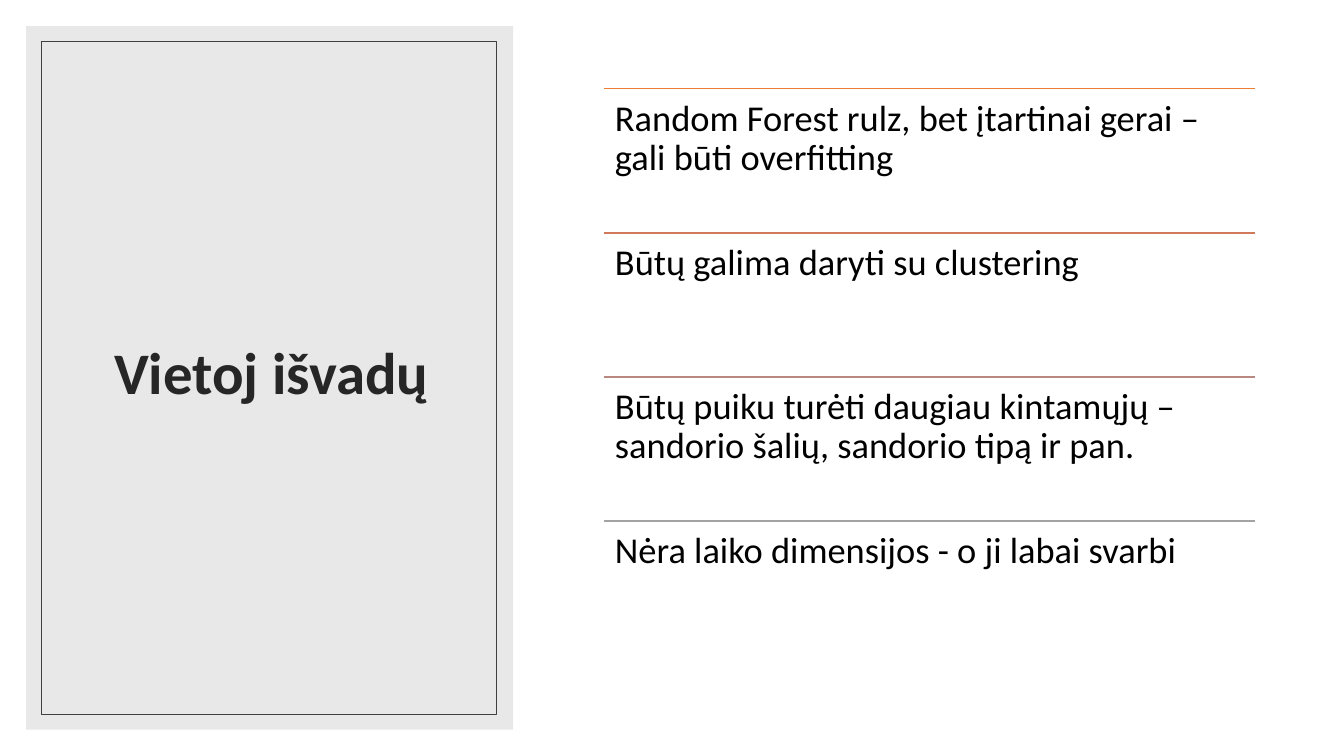
import pptx
import pptx.util
import pptx.dml.color
import pptx.enum.shapes
import pptx.enum.text
import pptx.oxml.ns
from lxml import etree

Inches = pptx.util.Inches
Pt = pptx.util.Pt
TITLE = "Vietoj išvadų"
CONCLUSIONS = [
    ("ED7D31", "Random Forest rulz, bet įtartinai gerai – gali būti overfitting"),
    ("D17A5B", "Būtų galima daryti su clustering"),
    ("B88881", "Būtų puiku turėti daugiau kintamųjų – sandorio šalių, sandorio tipą ir pan."),
    ("A3A3A3", "Nėra laiko dimensijos - o ji labai svarbi"),
]


def color(hex_value):
    return pptx.dml.color.RGBColor.from_string(hex_value)


def add_text(slide, box, text, font, frame_format, paragraph_format):
    frame = slide.shapes.add_textbox(*map(Inches, box)).text_frame
    for name, value in {"word_wrap": True, **frame_format}.items():
        setattr(frame, name, value)
    paragraph = frame.paragraphs[0]
    for name, value in {"line_spacing": 0.9, **paragraph_format}.items():
        setattr(paragraph, name, value)
    run = paragraph.add_run()
    run.text = text
    run.font.color.rgb = color(font["color"])
    for name in ("size", "bold"):
        setattr(run.font, name, font[name])
    run.font.name = "Calibri"


def add_rectangle(slide, box):
    rectangle = slide.shapes.add_shape(
        pptx.enum.shapes.MSO_SHAPE.RECTANGLE, *map(Inches, box))
    rectangle.shadow.inherit = False
    return rectangle


def add_title_panel(slide, left, top, width, height):
    """Translucent grey panel with a thin inner frame and a centred title."""
    panel = add_rectangle(slide, (left, top, width, height))
    panel.fill.solid()
    panel.fill.fore_color.rgb = color("D9D9D9")
    panel.line.fill.background()
    panel_color = panel.fill._xPr.find(".//" + pptx.oxml.ns.qn("a:srgbClr"))
    etree.SubElement(panel_color, pptx.oxml.ns.qn("a:alpha"), val="60000")

    add_text(slide, (left + 0.37, top + 0.35, width - 0.71, height - 0.74), TITLE,
             {"size": Pt(42), "bold": True, "color": "262626"},
             {"vertical_anchor": pptx.enum.text.MSO_ANCHOR.MIDDLE},
             {"alignment": pptx.enum.text.PP_ALIGN.CENTER})

    frame = add_rectangle(slide, (left + 0.15, top + 0.15, width - 0.32, height - 0.3))
    frame.fill.background()
    frame.line.color.rgb = color("404040")
    frame.line.width = Pt(0.5)


def add_conclusions(slide, left, top, width, height):
    """Equal rows, each with a coloured rule above its text."""
    row_height = height / len(CONCLUSIONS)
    margins = {f"margin_{side}": Inches(0.11)
               for side in ("left", "top", "right", "bottom")}
    for index, (rule_color, conclusion) in enumerate(CONCLUSIONS):
        row_top = top + index * row_height
        rule = slide.shapes.add_connector(
            pptx.enum.shapes.MSO_CONNECTOR.STRAIGHT,
            *map(Inches, (left, row_top, left + width, row_top)))
        rule.line.color.rgb = color(rule_color)
        rule.line.width = Pt(1)
        etree.SubElement(rule._element.spPr, pptx.oxml.ns.qn("a:effectLst"))
        add_text(slide, (left, row_top, width, row_height), conclusion,
                 {"size": Pt(26), "bold": False, "color": "000000"}, margins,
                 {"space_after": Pt(9)})


def main():
    presentation = pptx.Presentation()
    presentation.slide_width = Inches(13.33)
    presentation.slide_height = Inches(7.5)
    slide = presentation.slides.add_slide(presentation.slide_layouts[6])
    slide.background.fill.solid()
    slide.background.fill.fore_color.rgb = color("FFFFFF")
    add_title_panel(slide, 0.26, 0.26, 4.83, 6.98)
    add_conclusions(slide, 5.99, 0.88, 6.46, 5.72)
    presentation.save("out.pptx")


if __name__ == "__main__":
    main()
